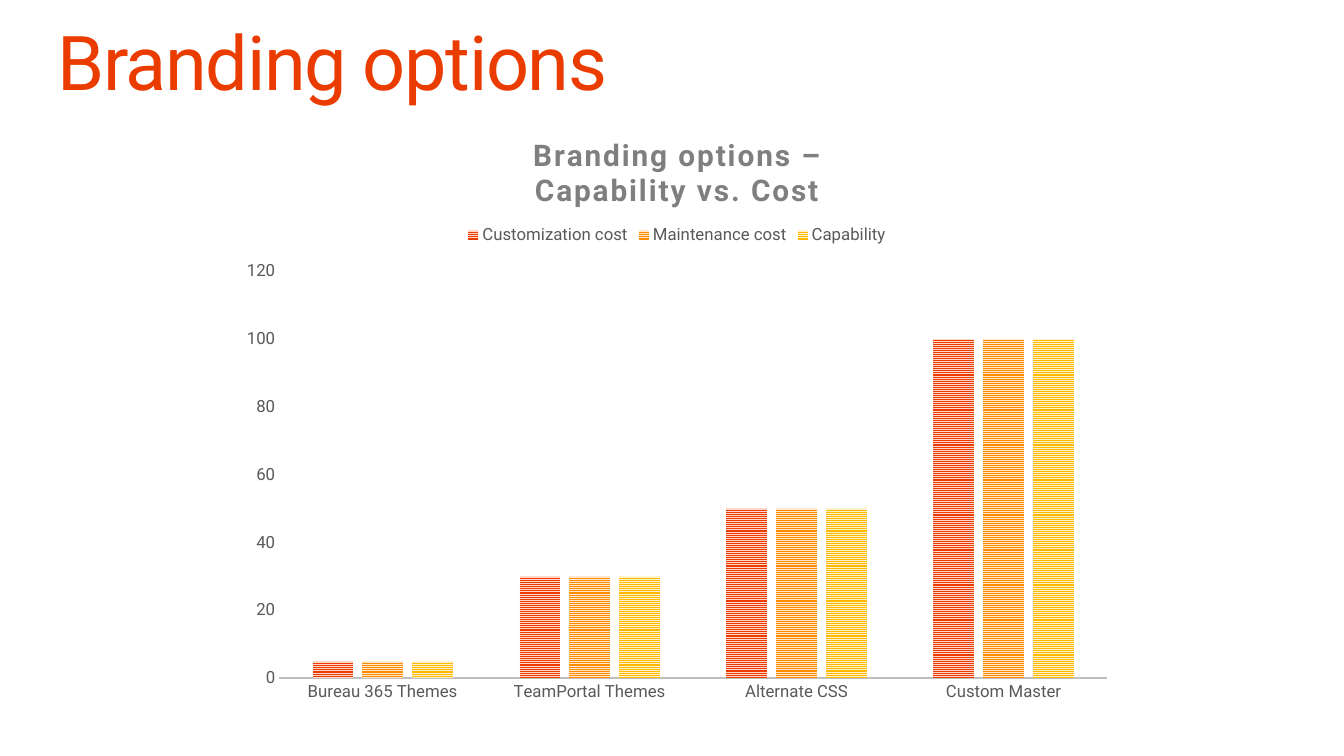
from pptx import Presentation
from pptx import util as u
from pptx.chart.data import CategoryChartData
from pptx.dml.color import RGBColor
from pptx.enum import chart as ch, dml, text

FACE = "Roboto"
GREY = "595959"
CATS = ["Bureau 365 Themes", "TeamPortal Themes", "Alternate CSS", "Custom Master"]
VALS = [5, 30, 50, 100]
# Series name, stripe colour, ground colour
ROWS = [
    ("Customization cost", "EB3C00", "FFD6C8"),
    ("Maintenance cost", "FF8C00", "FFE8CC"),
    ("Capability", "FFB900", "FFF1CC"),
]


def rgb(code):
    return RGBColor.from_string(code)


def style(font, size, color, bold=False):
    font.name = FACE
    font.size = u.Pt(size)
    font.bold = bold
    font.color.rgb = rgb(color)


def style_runs(para, size, color, space, bold=False):
    for run in para.runs:
        style(run.font, size, color, bold)
        # Letter spacing in hundredths of a point
        run._r.get_or_add_rPr().set("spc", str(space))


def add_title(slide, words):
    box = slide.shapes.add_textbox(u.Cm(1.45), u.Cm(0.64), u.Cm(30.96), u.Cm(2.08))
    frame = box.text_frame
    frame.word_wrap = True
    frame.vertical_anchor = text.MSO_ANCHOR.TOP
    frame.margin_left = frame.margin_right = 0
    frame.margin_top = frame.margin_bottom = 0
    para = frame.paragraphs[0]
    para.text = words
    para.line_spacing = 0.9
    style_runs(para, 54, "EB3C00", -100)


def set_head(chart, lines):
    chart.has_title = True
    chart.chart_title.include_in_layout = False
    frame = chart.chart_title.text_frame
    frame.text = "\n".join(lines)
    for para in frame.paragraphs:
        style_runs(para, 21.3, "7F7F7F", 150, True)


def set_axes(chart):
    for axis in (chart.category_axis, chart.value_axis):
        axis.major_tick_mark = axis.minor_tick_mark = ch.XL_TICK_MARK.NONE
        axis.has_major_gridlines = False
        style(axis.tick_labels.font, 12, GREY)
    line = chart.category_axis.format.line
    line.color.rgb = rgb("BFBFBF")
    line.width = u.Pt(1.5)
    scale = chart.value_axis
    scale.format.line.fill.background()
    scale.minimum_scale, scale.maximum_scale, scale.major_unit = 0, 120, 20


def set_bars(plot):
    plot.vary_by_categories = False
    plot.gap_width = 164
    plot.overlap = -22
    for bar, (_, fore, back) in zip(plot.series, ROWS):
        fill = bar.format.fill
        fill.patterned()
        fill.pattern = dml.MSO_PATTERN.NARROW_HORIZONTAL
        fill.fore_color.rgb = rgb(fore)
        fill.back_color.rgb = rgb(back)


def add_bars(slide):
    data = CategoryChartData()
    data.categories = CATS
    for name, _, _ in ROWS:
        data.add_series(name, VALS)
    chart = slide.shapes.add_chart(
        ch.XL_CHART_TYPE.COLUMN_CLUSTERED,
        u.Cm(5.77), u.Cm(2.95), u.Cm(22.58), u.Cm(15.04), data).chart
    style(chart.font, 10, "000000")
    set_head(chart, ["Branding options –", "Capability vs. Cost"])
    # Legend above the bars
    chart.has_legend = True
    chart.legend.position = ch.XL_LEGEND_POSITION.TOP
    chart.legend.include_in_layout = False
    style(chart.legend.font, 12, GREY)
    set_axes(chart)
    set_bars(chart.plots[0])


def main():
    deck = Presentation()
    deck.slide_width, deck.slide_height = u.Cm(33.87), u.Cm(19.05)
    slide = deck.slides.add_slide(deck.slide_layouts[6])
    add_title(slide, "Branding options")
    add_bars(slide)
    deck.save("out.pptx")


if __name__ == "__main__":
    main()
